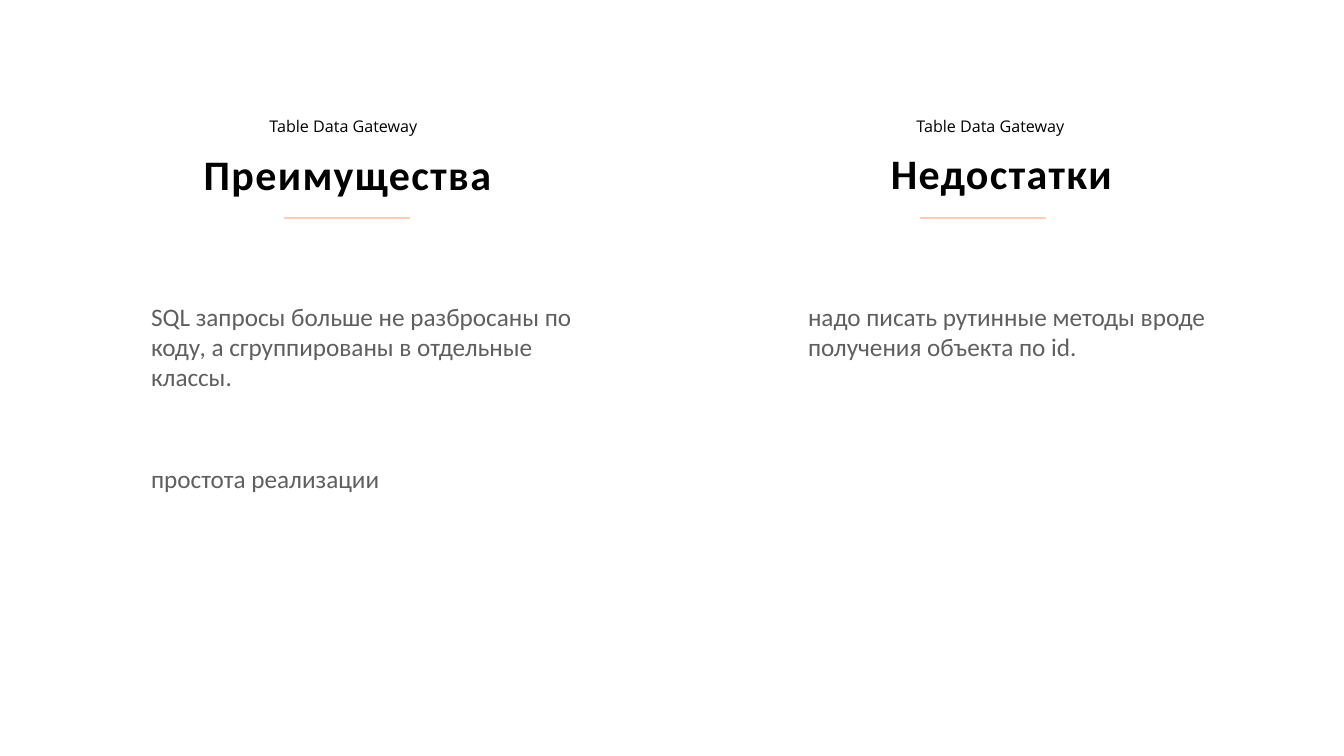
from pptx import Presentation
from pptx.dml.color import RGBColor
from pptx.enum.shapes import MSO_CONNECTOR
from pptx.enum.text import MSO_ANCHOR, MSO_AUTO_SIZE, PP_ALIGN
from pptx.oxml.ns import qn
from pptx.util import Pt

STRAIGHT = MSO_CONNECTOR.STRAIGHT
MIDDLE, TOP = MSO_ANCHOR.MIDDLE, MSO_ANCHOR.TOP
NO_FIT = MSO_AUTO_SIZE.NONE
CENTER, LEFT = PP_ALIGN.CENTER, PP_ALIGN.LEFT

COLORS = {"heading": "000000", "point": "5F5F5F", "rule": "FFCCB7"}
PATTERN = "Table Data Gateway"

# Boxes are (left, top, width, height); slots are placeholder indexes.
COLUMNS = [
    {
        "heading": ("Преимущества", 0, (198, 147, 299, 55)),
        "caption_left": 261,
        "rule_left": 284,
        "points_left": 139,
        "points": [
            ("SQL запросы больше не разбросаны по коду, "
             "а сгруппированы в отдельные классы.", 2, 295, 103),
            ("простота реализации", 3, 457, 42),
        ],
    },
    {
        "heading": ("Недостатки", 1, (885, 146, 233, 55)),
        "caption_left": 908,
        "rule_left": 920,
        "points_left": 796,
        "points": [
            ("надо писать рутинные методы вроде "
             "получения объекта по id.", 4, 295, 73),
        ],
    },
]

PX = 914400 / 50.4
SLIDE_W, SLIDE_H = 1344, 756
CAPTION_TOP, CAPTION_W, CAPTION_H = 113, 165, 27
RULE_Y, RULE_W = 218, 126
POINT_W, POINT_INSETS = 459, (12, 6)
DEFAULT_INSETS = (5, 2.5)


def emu(pixels):
    """Turn pixels into EMU."""
    return round(pixels * PX)


def place(shape, box):
    """Move and size a shape."""
    shape.left, shape.top, shape.width, shape.height = map(emu, box)


def write(shape, text, font, size, color, align=CENTER, anchor=MIDDLE,
          insets=DEFAULT_INSETS, wrap=False, bold=False):
    """Fill a shape with one formatted paragraph and return it."""
    frame = shape.text_frame
    frame.auto_size = NO_FIT
    frame.word_wrap = wrap
    frame.vertical_anchor = anchor
    frame.margin_left = frame.margin_right = emu(insets[0])
    frame.margin_top = frame.margin_bottom = emu(insets[1])
    paragraph = frame.paragraphs[0]
    paragraph.alignment = align
    run = paragraph.add_run()
    run.text = text
    run.font.name = font
    run.font.size = Pt(size)
    run.font.bold = bold
    run.font.color.rgb = RGBColor.from_string(COLORS[color])
    return paragraph


def add_heading(slide, text, slot, box):
    """Write a column heading with widened letters."""
    heading = slide.placeholders[slot]
    place(heading, box)
    paragraph = write(heading, text, "Calibri", 60, "heading", bold=True)
    paragraph.line_spacing = Pt(70.6)
    paragraph.space_before = Pt(0)
    paragraph.runs[0].font._element.set("spc", "200")


def add_caption(slide, left):
    """Write the pattern name above a heading."""
    caption = slide.shapes.add_textbox(
        *map(emu, (left, CAPTION_TOP, CAPTION_W, CAPTION_H)))
    write(caption, PATTERN, "Open Sans", 23, "heading")


def add_rule(slide, left):
    """Draw the thin line below a heading."""
    rule = slide.shapes.add_connector(
        STRAIGHT, *map(emu, (left, RULE_Y, left + RULE_W, RULE_Y)))
    rule.line.color.rgb = RGBColor.from_string(COLORS["rule"])
    rule.line.width = Pt(3)
    properties = rule._element.spPr
    properties.append(properties.makeelement(qn("a:effectLst"), {}))


def add_point(slide, text, slot, box):
    """Write one point without a bullet."""
    point = slide.placeholders[slot]
    place(point, box)
    paragraph = write(point, text, "Calibri", 36, "point", LEFT, TOP,
                      POINT_INSETS, wrap=True)
    properties = paragraph._p.get_or_add_pPr()
    properties.set("marL", "0")
    properties.set("indent", "0")
    properties.append(properties.makeelement(qn("a:buNone"), {}))


presentation = Presentation()
presentation.slide_width = emu(SLIDE_W)
presentation.slide_height = emu(SLIDE_H)
comparison = presentation.slide_layouts.get_by_name("Comparison")
slide = presentation.slides.add_slide(comparison)

for column in COLUMNS:
    add_heading(slide, *column["heading"])
    add_caption(slide, column["caption_left"])
    add_rule(slide, column["rule_left"])
    for text, slot, top, height in column["points"]:
        add_point(slide, text, slot,
                  (column["points_left"], top, POINT_W, height))

presentation.save("out.pptx")
